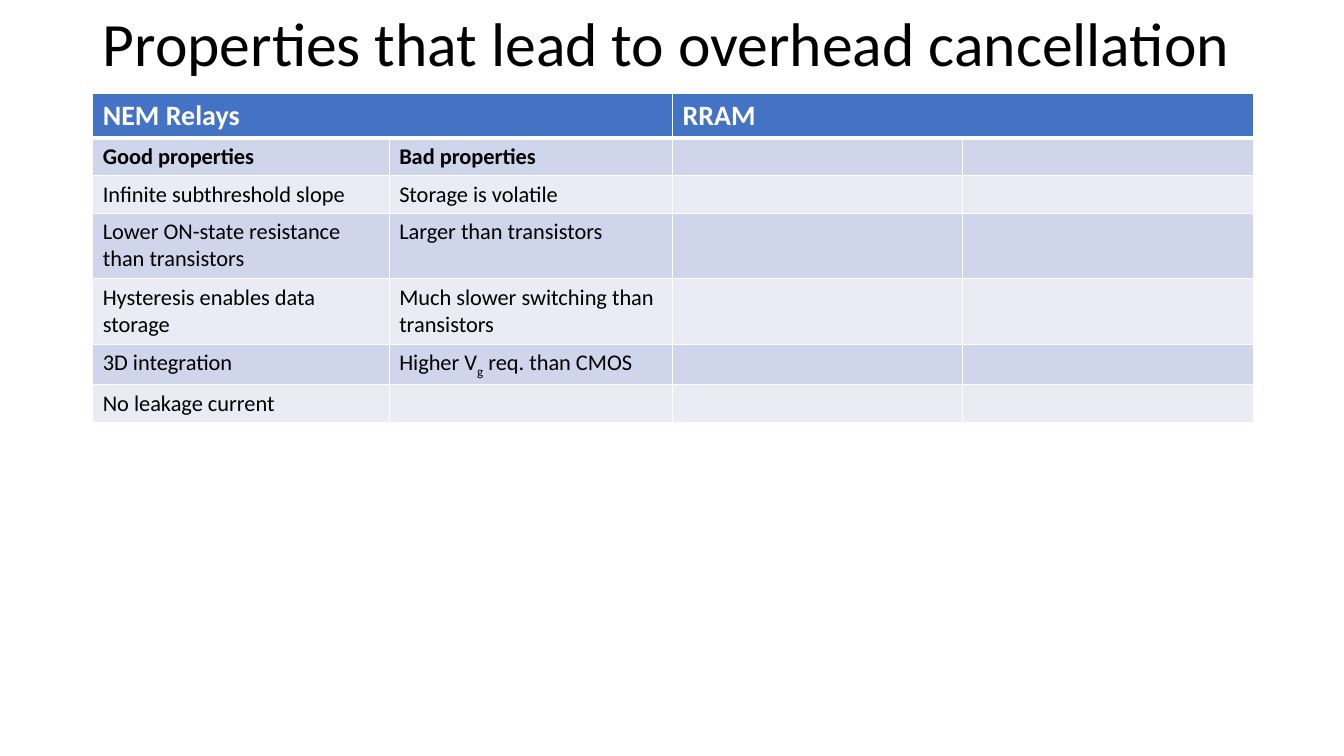
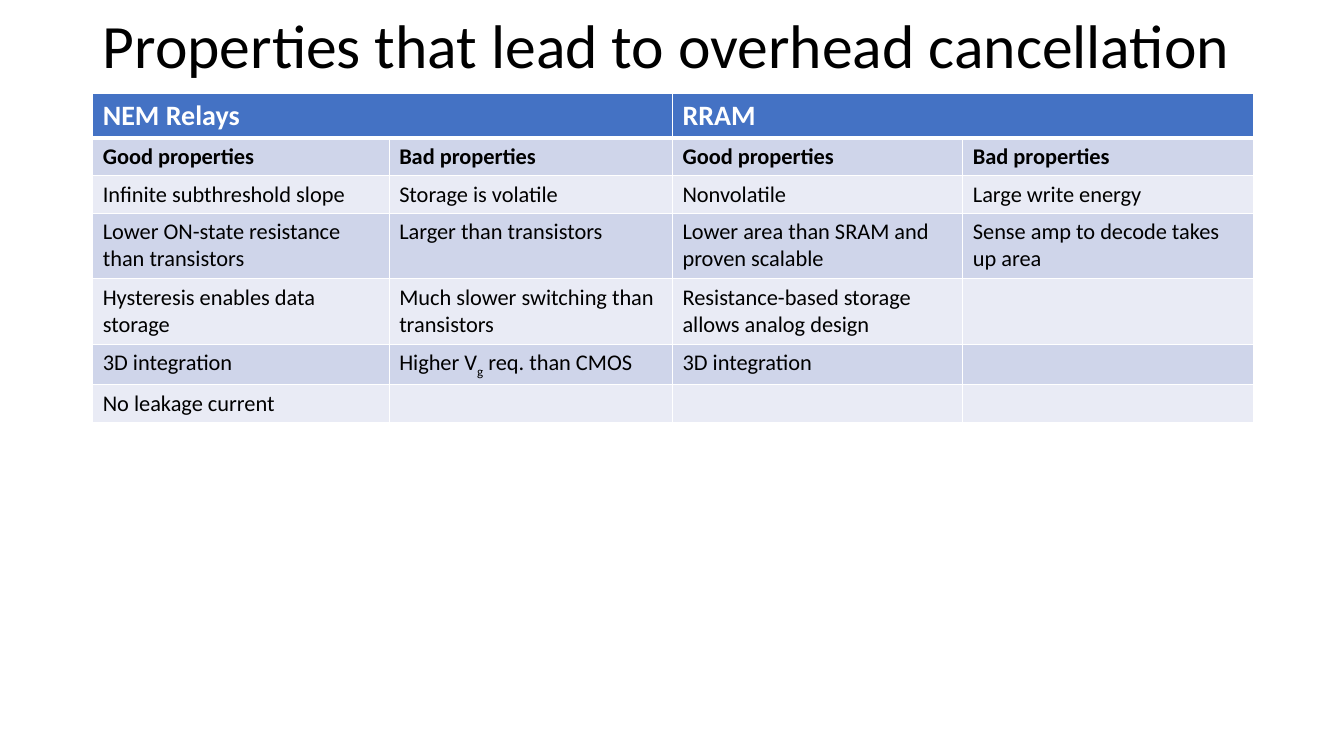
import pptx
import pptx.util
import pptx.dml.color
import pptx.enum.text
import lxml.etree

Inches, Pt = pptx.util.Inches, pptx.util.Pt
RGB = pptx.dml.color.RGBColor.from_string

# Shared look
COLORS = {"header": "4472C4", "band_dark": "CFD5EA", "band_light": "E9EBF5",
          "white": "FFFFFF", "text": "000000"}
FONT = "Calibri"
TITLE = "Properties that lead to overhead cancellation"
LEFT, WIDTH = 0.92, 11.5
TABLE_TOP = 0.93
COL_WIDTHS = [2.94, 2.81, 2.88, 2.88]
ROW_HEIGHTS = [0.43, 0.37, 0.37, 0.65, 0.65, 0.4, 0.37]

# Table columns, from the "properties" row down; in a tuple every second part is a subscript
relay_good = ["Good properties", "Infinite subthreshold slope",
              "Lower ON-state resistance than transistors",
              "Hysteresis enables data storage", "3D integration", "No leakage current"]
relay_bad = ["Bad properties", "Storage is volatile", "Larger than transistors",
             "Much slower switching than transistors",
             ("Higher V", "g", " req. than CMOS"), ""]
rram_good = ["Good properties", "Nonvolatile", "Lower area than SRAM and proven scalable",
             "Resistance-based storage allows analog design", "3D integration", ""]
rram_bad = ["Bad properties", "Large write energy", "Sense amp to decode takes up area",
            "", "", ""]
blank = [""] * len(relay_good)

# Title top and table columns of each slide
slides = [(-0.26, [relay_good, relay_bad, blank, blank]),
          (-0.24, [relay_good, relay_bad, rram_good, rram_bad])]


def add_run(p, text, size, color, bold=False):
    r = p.add_run()
    r.text = text
    r.font.name, r.font.size, r.font.bold = FONT, Pt(size), bold
    r.font.color.rgb = RGB(COLORS[color])
    return r


def format_cell(cell, fill, top, bottom):
    tc_pr = cell._tc.get_or_add_tcPr()
    ns = tc_pr.nsmap["a"]
    for side, width in (("L", 1), ("R", 1), ("T", top), ("B", bottom)):
        ln = lxml.etree.SubElement(tc_pr, f"{{{ns}}}ln{side}", w=str(Pt(width)))
        solid = lxml.etree.SubElement(ln, f"{{{ns}}}solidFill")
        lxml.etree.SubElement(solid, f"{{{ns}}}srgbClr", val=COLORS["white"])
    cell.fill.solid()
    cell.fill.fore_color.rgb = RGB(COLORS[fill])


prs = pptx.Presentation()
prs.slide_width, prs.slide_height = Inches(13.33), Inches(7.5)

for title_top, columns in slides:
    s = prs.slides.add_slide(prs.slide_layouts[5])

    # Title
    sp = s.shapes.title
    sp.left, sp.top = Inches(LEFT), Inches(title_top)
    sp.width, sp.height = Inches(WIDTH), Inches(1.45)
    tf = sp.text_frame
    tf.auto_size = pptx.enum.text.MSO_AUTO_SIZE.NONE
    tf.vertical_anchor = pptx.enum.text.MSO_ANCHOR.MIDDLE
    p = tf.paragraphs[0]
    p.alignment = pptx.enum.text.PP_ALIGN.LEFT
    p.line_spacing = 0.9
    add_run(p, TITLE, 44, "text")

    # Table grid
    table = s.shapes.add_table(len(ROW_HEIGHTS), len(COL_WIDTHS), Inches(LEFT),
                               Inches(TABLE_TOP), Inches(WIDTH),
                               Inches(sum(ROW_HEIGHTS))).table
    for col, width in zip(table.columns, COL_WIDTHS):
        col.width = Inches(width)
    for row, height in zip(table.rows, ROW_HEIGHTS):
        row.height = Inches(height)

    # Header row, each heading over two columns
    for c in range(len(COL_WIDTHS)):
        format_cell(table.cell(0, c), "header", 1, 3)
    for c, heading in ((0, "NEM Relays"), (2, "RRAM")):
        cell = table.cell(0, c)
        cell.merge(table.cell(0, c + 1))
        add_run(cell.text_frame.paragraphs[0], heading, 20, "white", True)

    # Banded body rows
    for c, column in enumerate(columns):
        for i, content in enumerate(column, 1):
            cell = table.cell(i, c)
            format_cell(cell, "band_dark" if i % 2 else "band_light", 3 if i == 1 else 1, 1)
            p = cell.text_frame.paragraphs[0]
            if not content:
                p._p.get_or_add_endParaRPr().set("sz", "1600")
                continue
            parts = content if isinstance(content, tuple) else (content,)
            for k, part in enumerate(parts):
                r = add_run(p, part, 16, "text", i == 1)
                if k % 2:
                    r.font._element.set("baseline", "-25000")

prs.save("out.pptx")
